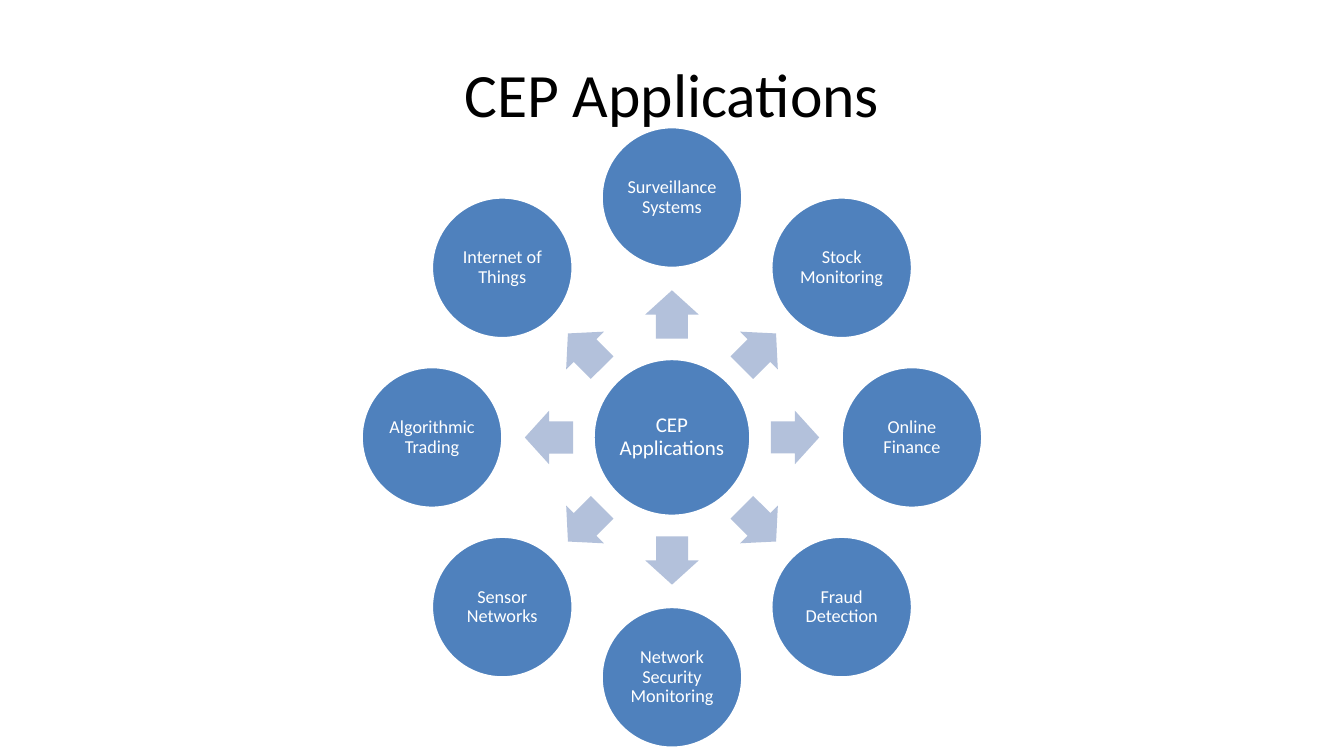
import math

import pptx
import pptx.dml.color
import pptx.enum.shapes
import pptx.enum.text
import pptx.util

Inches = pptx.util.Inches
RGBColor = pptx.dml.color.RGBColor
ShapeType = pptx.enum.shapes.MSO_SHAPE

BLUE = RGBColor(0x4F, 0x81, 0xBD)
PALE_BLUE = RGBColor(0xB3, 0xC1, 0xDB)
WHITE = RGBColor(0xFF, 0xFF, 0xFF)
BLACK = RGBColor(0x00, 0x00, 0x00)

SLIDE_WIDTH, SLIDE_HEIGHT = 13.33, 7.5
CENTER_X, CENTER_Y = SLIDE_WIDTH / 2, 4.34
HUB_SIZE, CIRCLE_SIZE = 1.56, 1.4
CIRCLE_ORBIT, ARROW_ORBIT = 2.38, 1.22
ARROW_LENGTH, ARROW_WIDTH = 0.48, 0.53

# Applications clockwise from the top
APPLICATIONS = [
    "Surveillance Systems",
    "Stock Monitoring",
    "Online Finance",
    "Fraud Detection",
    "Network Security Monitoring",
    "Sensor Networks",
    "Algorithmic Trading",
    "Internet of Things",
]


def write_text(shape, text, size, color, inset=0.02, line_spacing=0.9):
    frame = shape.text_frame
    frame.word_wrap = True
    frame.vertical_anchor = pptx.enum.text.MSO_ANCHOR.MIDDLE
    frame.margin_left = frame.margin_right = Inches(inset)
    frame.margin_top = frame.margin_bottom = Inches(inset)
    paragraph = frame.paragraphs[0]
    paragraph.text = text
    paragraph.alignment = pptx.enum.text.PP_ALIGN.CENTER
    paragraph.line_spacing = line_spacing
    paragraph.font.name = "Calibri"
    paragraph.font.size = pptx.util.Pt(size)
    paragraph.font.color.rgb = color


def add_centered(kind, angle, orbit, width, height, fill):
    """Add a shape centred on the given angle (degrees) of a ring."""
    x = CENTER_X + orbit * math.cos(math.radians(angle))
    y = CENTER_Y + orbit * math.sin(math.radians(angle))
    shape = slide.shapes.add_shape(
        kind, Inches(x - width / 2), Inches(y - height / 2),
        Inches(width), Inches(height))
    shape.shadow.inherit = False
    shape.fill.solid()
    shape.fill.fore_color.rgb = fill
    if kind == ShapeType.OVAL:
        shape.line.color.rgb = WHITE
        shape.line.width = pptx.util.Pt(2)
    else:
        shape.line.fill.background()
    return shape


presentation = pptx.Presentation()
presentation.slide_width = Inches(SLIDE_WIDTH)
presentation.slide_height = Inches(SLIDE_HEIGHT)
slide = presentation.slides.add_slide(presentation.slide_layouts[6])

# Title
title = slide.shapes.add_textbox(
    Inches(SLIDE_WIDTH * 0.05), Inches(SLIDE_HEIGHT * 0.04),
    Inches(SLIDE_WIDTH * 0.9), Inches(SLIDE_HEIGHT / 6))
write_text(title, "CEP Applications", size=44, color=BLACK,
           inset=0.05, line_spacing=1.0)

# Hub
hub = add_centered(ShapeType.OVAL, 0, 0, HUB_SIZE, HUB_SIZE, BLUE)
write_text(hub, "CEP Applications", size=15, color=WHITE)

# Ring of arrows and application circles
for index, application in enumerate(APPLICATIONS):
    angle = index * 360 / len(APPLICATIONS) - 90
    arrow = add_centered(ShapeType.RIGHT_ARROW, angle, ARROW_ORBIT,
                         ARROW_LENGTH, ARROW_WIDTH, PALE_BLUE)
    arrow.adjustments[0] = 0.6
    arrow.adjustments[1] = 0.5
    arrow.rotation = angle % 360
    circle = add_centered(ShapeType.OVAL, angle, CIRCLE_ORBIT,
                          CIRCLE_SIZE, CIRCLE_SIZE, BLUE)
    write_text(circle, application, size=13, color=WHITE)

presentation.save("out.pptx")
